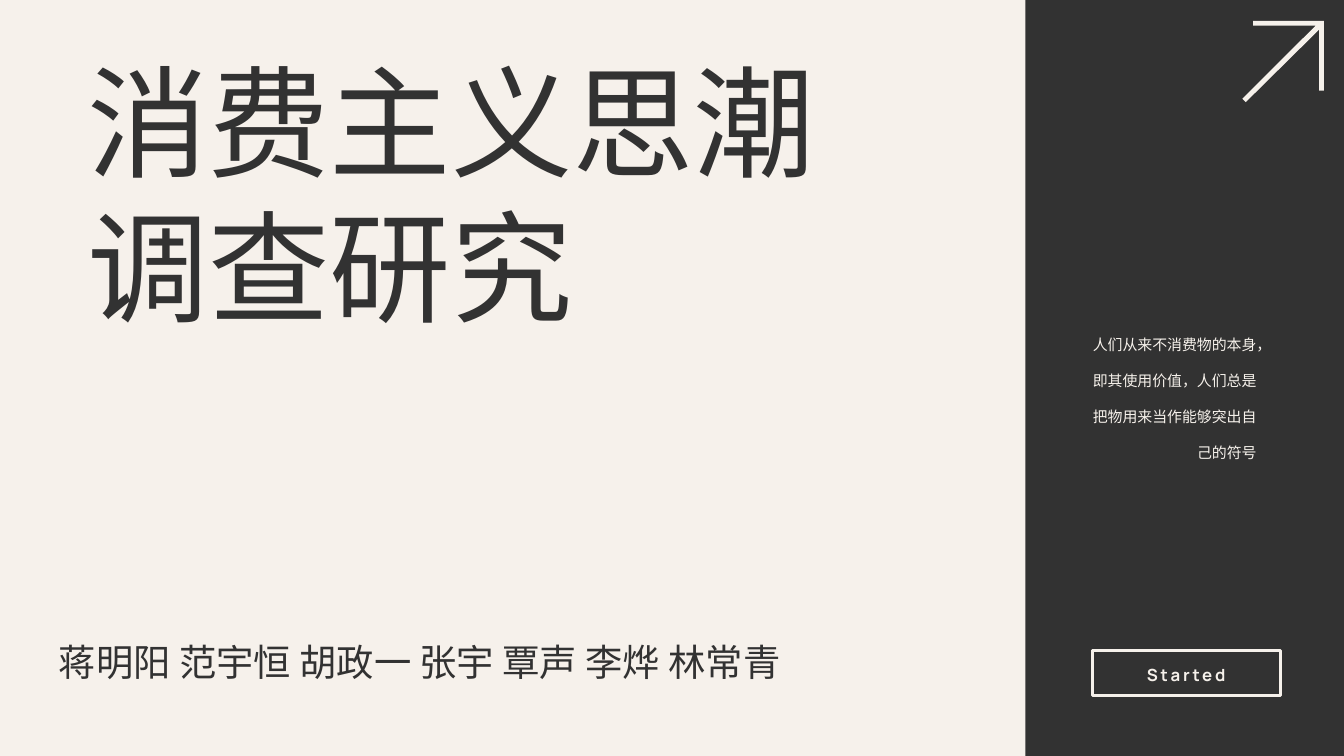
from dataclasses import dataclass

from lxml import etree
from pptx import Presentation
from pptx import util as u
from pptx.dml.color import RGBColor
from pptx.enum import shapes, text
from pptx.oxml import ns

Cm = u.Cm
CREAM = "F6F1EB"
CHARCOAL = "323232"
CJK_FONT = "Noto Sans CJK SC"


@dataclass
class Frame:
    left: float
    top: float
    width: float
    height: float

    def lengths(self) -> list:
        return [Cm(v) for v in (self.left, self.top, self.width, self.height)]


def paint(format_part, color: str) -> None:
    """Give a fill or a background a solid colour."""
    format_part.solid()
    format_part.fore_color.rgb = RGBColor.from_string(color)


def add_block(page, kind, frame: Frame, fill: str = "", line: str = ""):
    block = page.shapes.add_shape(kind, *frame.lengths())
    block.shadow.inherit = False
    if fill:
        paint(block.fill, fill)
    else:
        block.fill.background()
    if line:
        paint(block.line.fill, line)
        block.line.width = u.Pt(3)
    else:
        block.line.fill.background()
    return block


def add_text(page, frame: Frame, words: str, *, size: float, font: str,
             color: str, bold: bool = False, align=text.PP_ALIGN.LEFT,
             line_spacing: float = 1.0, tracking: float = 0,
             wrap: bool = True) -> None:
    box = page.shapes.add_textbox(*frame.lengths())
    box.text_frame.word_wrap = wrap
    box.text_frame.auto_size = text.MSO_AUTO_SIZE.SHAPE_TO_FIT_TEXT
    para = box.text_frame.paragraphs[0]
    para.alignment = align
    para.line_spacing = line_spacing
    span = para.add_run()
    span.text = words
    span.font.size = u.Pt(size)
    span.font.name = font
    span.font.bold = bold
    span.font.color.rgb = RGBColor.from_string(color)
    properties = span.font._element
    if tracking:
        properties.set("spc", str(int(tracking * 100)))
    # East Asian glyphs take their own typeface
    east_asian = etree.SubElement(properties, ns.qn("a:ea"))
    east_asian.set("typeface", CJK_FONT)


def add_arrow(page, points: list, color: str) -> None:
    start, *rest = [(Cm(x), Cm(y)) for x, y in points]
    builder = page.shapes.build_freeform(*start, scale=1.0)
    builder.add_line_segments(rest, close=True)
    arrow = builder.convert_to_shape()
    arrow.shadow.inherit = False
    paint(arrow.fill, color)
    arrow.line.fill.background()


def main() -> None:
    deck = Presentation()
    deck.slide_width, deck.slide_height = Cm(50.8), Cm(28.58)
    page = deck.slides.add_slide(deck.slide_layouts[6])
    paint(page.background.fill, CREAM)

    # Dark side panel
    add_block(page, shapes.MSO_SHAPE.RECTANGLE,
              Frame(38.76, 0, 12.04, 28.58), fill=CHARCOAL)

    # Button
    button = add_block(page, shapes.MSO_SHAPE.ROUNDED_RECTANGLE,
                       Frame(41.28, 24.59, 7.11, 1.7), line=CREAM)
    button.adjustments[0] = 0
    add_text(page, Frame(42.98, 24.99, 3.71, 1.02), "Started", size=18,
             font="Manrope", color=CREAM, bold=True, tracking=3, wrap=False,
             align=text.PP_ALIGN.CENTER)

    # Title
    add_text(page, Frame(3.05, 1.65, 30.73, 11.38), "消费主义思潮调查研究",
             size=130, font=CJK_FONT, color=CHARCOAL)

    # Corner arrow
    add_arrow(page, [(47.37, 0.79), (50.04, 0.79), (50.04, 3.43),
                     (49.86, 3.43), (49.86, 1.12), (47.09, 3.86),
                     (46.96, 3.73), (49.73, 0.97), (47.37, 0.97)], CREAM)

    # Quotation
    add_text(page, Frame(40.64, 11.89, 7.11, 5.56),
             "人们从来不消费物的本身，即其使用价值，人们总是把物用来当作能够突出自己的符号",
             size=16, font="Manrope", color=CREAM, line_spacing=2.0,
             align=text.PP_ALIGN.RIGHT)

    # Authors
    add_text(page, Frame(1.98, 24.05, 28.6, 1.96),
             "蒋明阳 范宇恒 胡政一 张宇 覃声 李烨 林常青",
             size=40, font="Calibri", color=CHARCOAL)

    deck.save("out.pptx")


if __name__ == "__main__":
    main()
